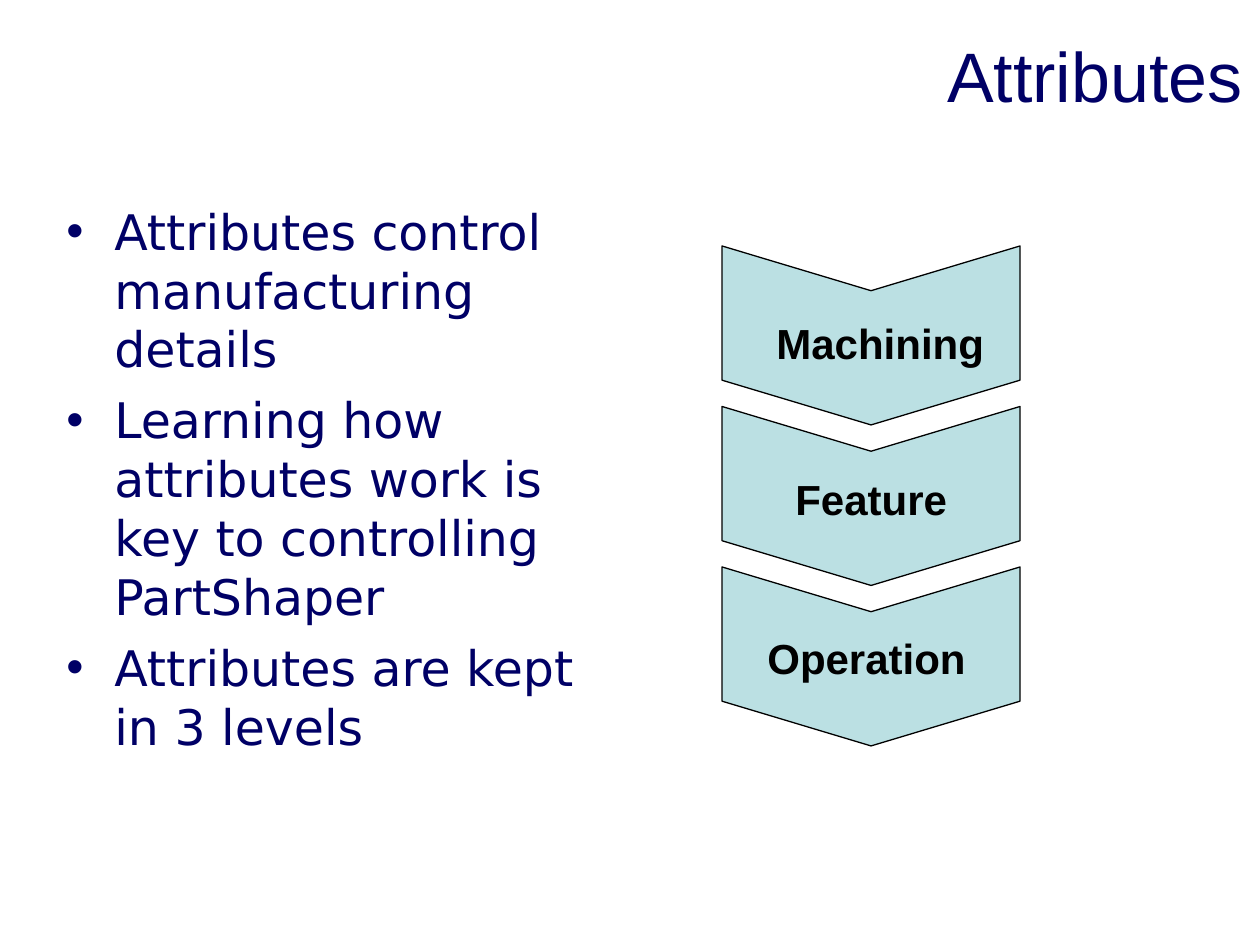
import pptx
import pptx.dml.color
import pptx.enum.shapes
import pptx.enum.text
import pptx.oxml
import pptx.oxml.ns
import pptx.util

EMU_PER_PX = 914400 / 126
NAVY = pptx.dml.color.RGBColor(0x00, 0x00, 0x66)
BLACK = pptx.dml.color.RGBColor(0x00, 0x00, 0x00)
PALE_TEAL = pptx.dml.color.RGBColor(0xBB, 0xE0, 0xE3)
ALIGN = pptx.enum.text.PP_ALIGN
ANCHOR = pptx.enum.text.MSO_ANCHOR
AUTO_SIZE = pptx.enum.text.MSO_AUTO_SIZE

BULLETS = [
    "Attributes control manufacturing details",
    "Learning how attributes work is key to controlling PartShaper",
    "Attributes are kept in 3 levels",
]
LEVELS = [
    ("Machining", (42, 65, 234, 63)),
    ("Feature", (61, 221, 178, 63)),
    ("Operation", (33, 380, 226, 63)),
]


def px(length):
    return pptx.util.Emu(round(length * EMU_PER_PX))


def add_bullet(para, indent):
    properties = para._p.get_or_add_pPr()
    properties.set("marL", str(px(indent)))
    properties.set("indent", str(-px(indent)))
    namespace = pptx.oxml.ns.nsdecls("a")
    properties.append(pptx.oxml.parse_xml(
        f'<a:buFont {namespace} typeface="Arial"/>'))
    properties.append(pptx.oxml.parse_xml(
        f'<a:buChar {namespace} char="•"/>'))


def add_text(page, box, lines, *, size, color, font="Arial", bold=False,
             align=ALIGN.LEFT, anchor=ANCHOR.TOP, wrap=True,
             indent=0, gap=0):
    frame = page.shapes.add_textbox(*map(px, box)).text_frame
    frame.word_wrap = wrap
    frame.auto_size = AUTO_SIZE.NONE if wrap else AUTO_SIZE.SHAPE_TO_FIT_TEXT
    frame.vertical_anchor = anchor
    for index, line in enumerate(lines):
        para = frame.paragraphs[0] if index == 0 else frame.add_paragraph()
        if indent:
            add_bullet(para, indent)
        para.alignment = align
        if index and gap:
            para.space_before = pptx.util.Pt(gap)
        span = para.add_run()
        span.text = line
        span.font.name = font
        span.font.size = pptx.util.Pt(size)
        span.font.bold = bold
        span.font.color.rgb = color


def add_title(page, box):
    add_text(page, box, ["Attributes"], size=40, color=NAVY,
             align=ALIGN.RIGHT, anchor=ANCHOR.MIDDLE)


def add_bullets(page, box):
    add_text(page, box, BULLETS, size=28, color=NAVY, font="DejaVu Sans",
             indent=48, gap=7)


def add_chevron(page, box):
    left, top, width, height = box
    turned_left = left + (width - height) / 2
    turned_top = top + (height - width) / 2
    chevron = page.shapes.add_shape(
        pptx.enum.shapes.MSO_SHAPE.CHEVRON,
        px(turned_left), px(turned_top), px(height), px(width))
    chevron.rotation = 90
    chevron.adjustments[0] = 0.25
    chevron.shadow.inherit = False
    chevron.fill.solid()
    chevron.fill.fore_color.rgb = PALE_TEAL
    chevron.line.color.rgb = BLACK
    chevron.line.width = pptx.util.Pt(0.75)


def add_levels(page, box):
    left, top, width, height = box
    chevron_height = 179
    pitch = (height - chevron_height) / (len(LEVELS) - 1)
    for index in range(len(LEVELS)):
        add_chevron(page, (left, top + index * pitch, width, chevron_height))
    for label, (x, y, label_width, label_height) in LEVELS:
        add_text(page, (left + x, top + y, label_width, label_height), [label],
                 size=24, color=BLACK, bold=True, wrap=False)


def main():
    deck = pptx.Presentation()
    deck.slide_width = px(1260)
    deck.slide_height = px(945)
    page = deck.slides.add_slide(deck.slide_layouts[6])
    add_title(page, (74, 4, 1181, 141))
    add_bullets(page, (54, 195, 554, 624))
    add_levels(page, (722, 246, 298, 500))
    deck.save("out.pptx")


if __name__ == "__main__":
    main()
